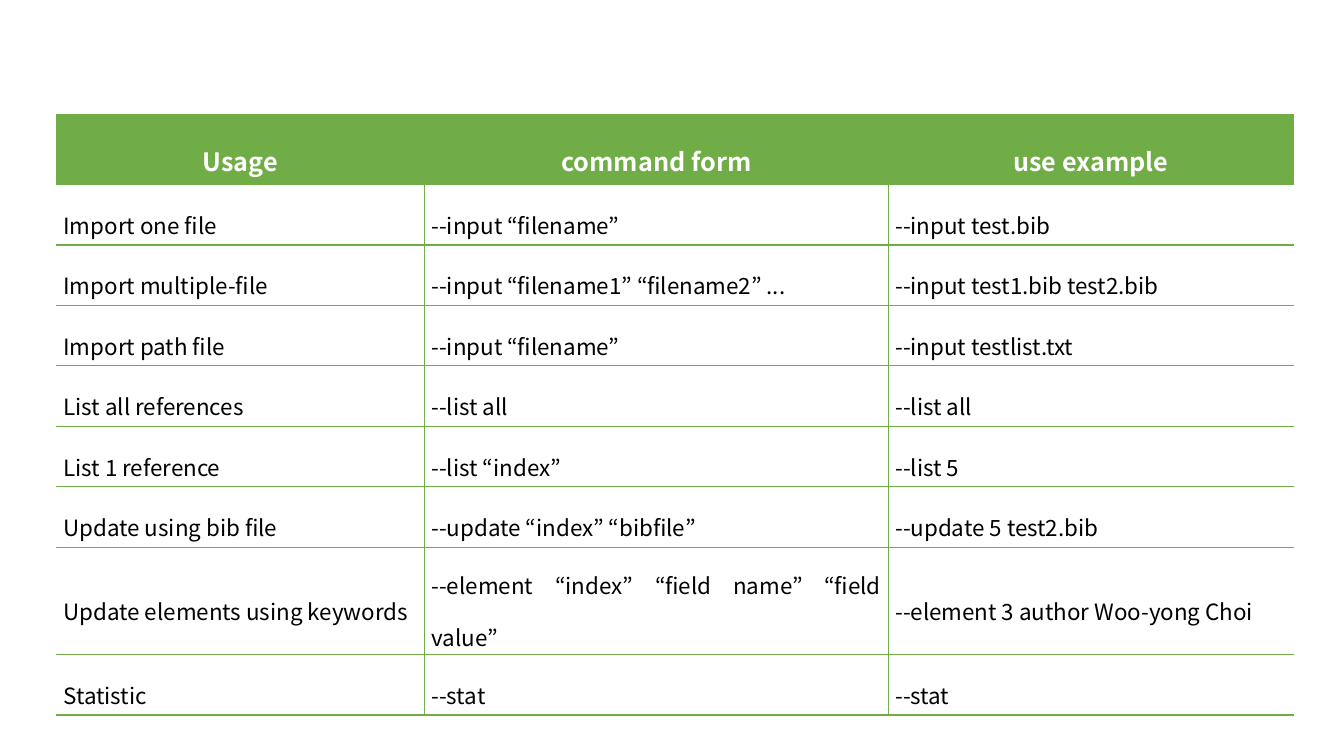
from pptx import Presentation, util as u
from pptx.dml.color import RGBColor
from pptx.enum import text
from pptx.oxml.ns import qn
from lxml import etree

FONT = "Noto Sans CJK KR"
GREEN, WHITE, BLACK = "70AD47", "FFFFFF", "000000"
headings = ("Usage", "command form", "use example")
commands = [
    ("Import one file", "--input “filename”", "--input test.bib"),
    ("Import multiple-file", "--input “filename1” “filename2” ...",
     "--input test1.bib test2.bib"),
    ("Import path file", "--input “filename”", "--input testlist.txt"),
    ("List all references", "--list all", "--list all"),
    ("List 1 reference", "--list “index”", "--list 5"),
    ("Update using bib file", "--update “index” “bibfile”", "--update 5 test2.bib"),
    ("Update elements using keywords", "--element “index” “field name” “field value”",
     "--element 3 author Woo-yong Choi"),
    ("Statistic", "--stat", "--stat"),
]
column_widths = (3.65, 4.6, 4.02)
heading_height, command_height = 0.69, 0.6


def paint(target, color):
    target.solid()
    target.fore_color.rgb = RGBColor.from_string(color)


def set_borders(cell, visible):
    properties = cell._tc.get_or_add_tcPr()
    for position, side in enumerate("LRTB"):
        line = etree.Element(qn(f"a:ln{side}"), w=str(u.Pt(1)))
        if side in visible:
            fill = etree.SubElement(line, qn("a:solidFill"))
            etree.SubElement(fill, qn("a:srgbClr"), val=GREEN)
        else:
            etree.SubElement(line, qn("a:noFill"))
        properties.insert(position, line)


def fill_cell(cell, wording, align, size, color, bold):
    cell.vertical_anchor = text.MSO_ANCHOR.MIDDLE
    cell.margin_left = cell.margin_right = u.Inches(0.07)
    cell.margin_top = cell.margin_bottom = u.Inches(0.02)
    paragraph = cell.text_frame.paragraphs[0]
    paragraph.alignment = align
    paragraph.line_spacing = 1.6
    run = paragraph.add_run()
    run.text = wording
    run.font.name, run.font.size, run.font.bold = FONT, u.Pt(size), bold
    paint(run.font.fill, color)


deck = Presentation()
deck.slide_width, deck.slide_height = u.Inches(13.33), u.Inches(7.5)
slide = deck.slides.add_slide(deck.slide_layouts[6])
rows = [headings] + commands
heights = [heading_height] + [command_height] * len(commands)
usage = slide.shapes.add_table(
    len(rows), len(headings), u.Inches(0.56), u.Inches(1.14),
    u.Inches(sum(column_widths)), u.Inches(sum(heights))).table
usage.horz_banding = False
for column, width in zip(usage.columns, column_widths):
    column.width = u.Inches(width)

last = len(headings) - 1
for r, (row, height) in enumerate(zip(rows, heights)):
    usage.rows[r].height = u.Inches(height)
    for c, wording in enumerate(row):
        cell = usage.cell(r, c)
        if r == 0:
            fill_cell(cell, wording, text.PP_ALIGN.CENTER, 18, WHITE, True)
            paint(cell.fill, GREEN)
            set_borders(cell, "TB")
        else:
            align = text.PP_ALIGN.JUSTIFY if c else text.PP_ALIGN.LEFT
            fill_cell(cell, wording, align, 16, BLACK, False)
            cell.fill.background()
            set_borders(cell, "TB" + "L" * (c > 0) + "R" * (c < last))

deck.save("out.pptx")
